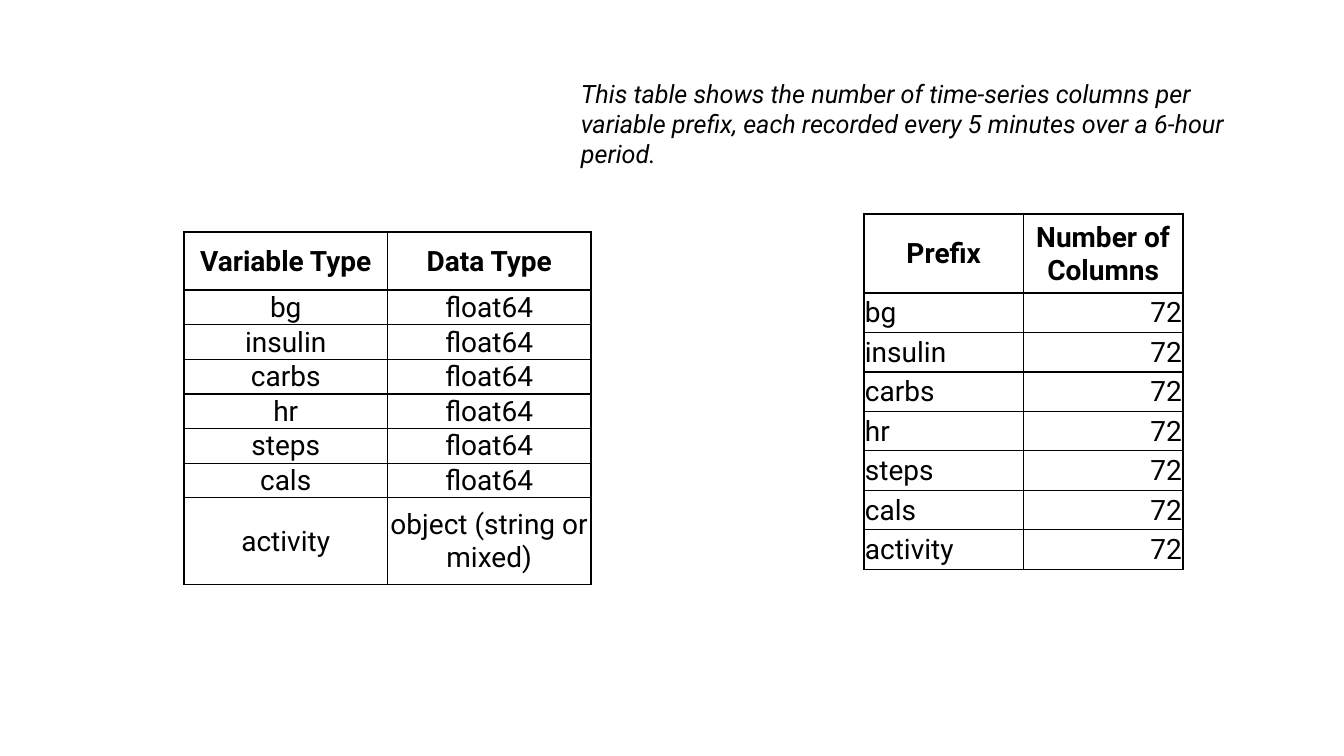
from lxml import etree
from pptx import Presentation
from pptx import util as u
from pptx.dml.color import RGBColor
from pptx.enum import text
from pptx.oxml.ns import qn

SCALE = 914400 / 100.8
COLORS = {"ink": "000000"}
FONT = "Roboto"
LEFT, CENTER, RIGHT = text.PP_ALIGN.LEFT, text.PP_ALIGN.CENTER, text.PP_ALIGN.RIGHT

PREFIXES = ["bg", "insulin", "carbs", "hr", "steps", "cals", "activity"]
DATA_TYPES = ["float64"] * 6 + ["object (string or mixed)"]


def px(n):
    return u.Emu(round(n * SCALE))


def add_run(p, words, size, bold=False, italic=False):
    r = p.add_run()
    r.text = words
    r.font.name = FONT
    r.font.size = u.Pt(size)
    r.font.bold = bold
    r.font.italic = italic
    r.font.color.rgb = RGBColor.from_string(COLORS["ink"])


def add_borders(cell):
    tc_pr = cell._tc.get_or_add_tcPr()
    for i, side in enumerate(("lnL", "lnR", "lnT", "lnB")):
        ln = etree.Element(qn("a:" + side), w=str(u.Pt(1)))
        fill = etree.SubElement(ln, qn("a:solidFill"))
        etree.SubElement(fill, qn("a:srgbClr"), val=COLORS["ink"])
        tc_pr.insert(i, ln)


def fill_cell(cell, words, align, bold):
    cell.fill.background()
    add_borders(cell)
    cell.margin_left = cell.margin_right = cell.margin_top = px(1)
    cell.margin_bottom = 0
    cell.vertical_anchor = text.MSO_ANCHOR.MIDDLE
    p = cell.text_frame.paragraphs[0]
    p.alignment = align
    add_run(p, words, 20, bold=bold)


def grid_table(s, box, rows, heights, aligns):
    """Table with equal columns, a bold centred header and aligned body columns."""
    x, y, w, h = map(px, box)
    frame = s.shapes.add_table(len(rows), len(aligns), x, y, w, h)
    table = frame.table
    table.first_row = table.horz_banding = False
    for row, height in zip(table.rows, heights):
        row.height = px(height)
    for i, row in enumerate(rows):
        for j, words in enumerate(row):
            align = aligns[j] if i else CENTER
            fill_cell(table.cell(i, j), words, align, bold=i == 0)
    frame.height = h


def caption(s, box, words):
    tf = s.shapes.add_textbox(*map(px, box)).text_frame
    tf.word_wrap = True
    tf.auto_size = text.MSO_AUTO_SIZE.SHAPE_TO_FIT_TEXT
    add_run(tf.paragraphs[0], words, 18, italic=True)


def main():
    prs = Presentation()
    prs.slide_width, prs.slide_height = px(1344), px(756)
    s = prs.slides.add_slide(prs.slide_layouts[6])
    grid_table(s, (864, 214, 319, 356),
               [("Prefix", "Number of Columns")] + [(name, "72") for name in PREFIXES],
               [79] + [39.5] * 7, (LEFT, RIGHT))
    caption(s, (571, 73, 671, 102),
            "This table shows the number of time-series columns per variable prefix, "
            "each recorded every 5 minutes over a 6-hour period.")
    grid_table(s, (184, 232, 407, 354),
               [("Variable Type", "Data Type"), *zip(PREFIXES, DATA_TYPES)],
               [58] + [29] * 6 + [87], (CENTER, CENTER))
    prs.save("out.pptx")


if __name__ == "__main__":
    main()
